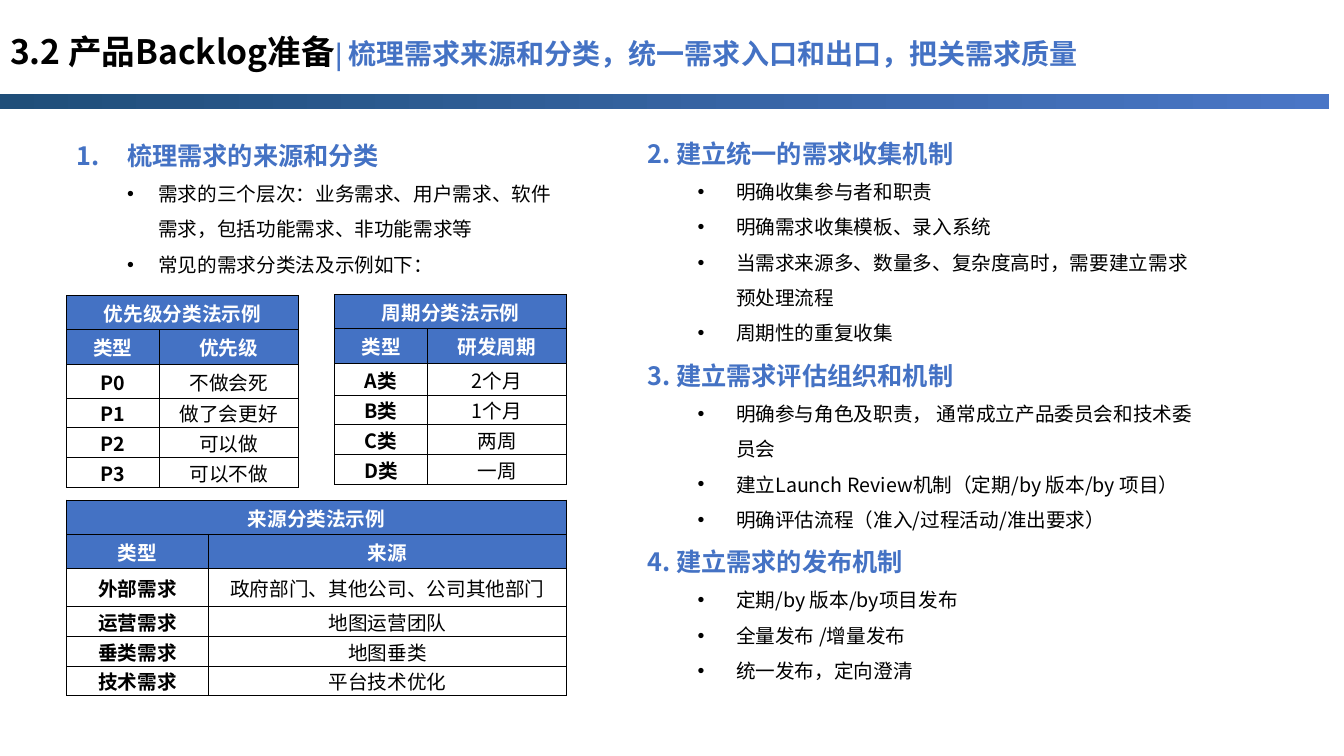
"""Build the product backlog preparation slide."""
from dataclasses import dataclass
from itertools import product

from lxml import etree
from pptx import Presentation
from pptx import util as u
from pptx.dml.color import RGBColor
from pptx.enum import shapes, text
from pptx.oxml import ns


@dataclass(frozen=True)
class Theme:
    font: str = "Noto Sans CJK SC"
    blue: str = "4472C4"
    black: str = "000000"
    white: str = "FFFFFF"
    bar_start: str = "1F4E79"
    bar_end: str = "4A76C6"
    title: int = 24
    subtitle: int = 20
    heading: int = 18
    body: int = 14


theme = Theme()
PX = 9144


def style_run(run, size, color, bold):
    run.font.size = u.Pt(size)
    run.font.bold = bold
    run.font.color.rgb = RGBColor.from_string(color)
    run.font.name = theme.font
    etree.SubElement(run.font._element, ns.qn("a:ea"), typeface=theme.font)


def set_bullet(paragraph, tag, margin, hanging, **attributes):
    properties = paragraph._p.get_or_add_pPr()
    properties.set("marL", str(margin * PX))
    properties.set("indent", str(-hanging * PX))
    if tag == "a:buChar":
        etree.SubElement(properties, ns.qn("a:buFont"), typeface="Arial")
    etree.SubElement(properties, ns.qn(tag), **attributes)


presentation = Presentation()
presentation.slide_width = 1333 * PX
presentation.slide_height = 750 * PX
slide = presentation.slides.add_slide(presentation.slide_layouts[3])
title, left_body, right_body = slide.placeholders

bar = slide.shapes.add_shape(shapes.MSO_SHAPE.RECTANGLE, 0, 93 * PX, 1318 * PX, 15 * PX)
bar.shadow.inherit = False
bar.line.fill.background()
bar.fill.gradient()
bar.fill.gradient_angle = 0
for stop, color in zip(bar.fill.gradient_stops, (theme.bar_start, theme.bar_end)):
    stop.color.rgb = RGBColor.from_string(color)

title.left, title.top, title.width, title.height = 0, 8 * PX, 1304 * PX, 90 * PX
title.text_frame.auto_size = text.MSO_AUTO_SIZE.NONE
title.text_frame.vertical_anchor = text.MSO_ANCHOR.MIDDLE
title_paragraph = title.text_frame.paragraphs[0]
title_paragraph.alignment = text.PP_ALIGN.LEFT
title_paragraph.line_spacing = 0.9
for words, size, color in (
    ("3.2 产品Backlog准备", theme.title, theme.black),
    ("| ", theme.heading, theme.blue),
    ("梳理需求来源和分类，统一需求入口和出口，把关需求质量", theme.subtitle, theme.blue),
):
    run = title_paragraph.add_run()
    run.text = words
    style_run(run, size, color, True)

left_sections = {
    "梳理需求的来源和分类": (
        "需求的三个层次：业务需求、用户需求、软件需求，包括功能需求、非功能需求等",
        "常见的需求分类法及示例如下：",
    ),
}
right_sections = {
    "2. 建立统一的需求收集机制": (
        "明确收集参与者和职责",
        "明确需求收集模板、录入系统",
        "当需求来源多、数量多、复杂度高时，需要建立需求预处理流程",
        "周期性的重复收集",
    ),
    "3. 建立需求评估组织和机制": (
        "明确参与角色及职责， 通常成立产品委员会和技术委员会",
        "建立Launch Review机制（定期/by 版本/by 项目）",
        "明确评估流程（准入/过程活动/准出要求）",
    ),
    "4. 建立需求的发布机制": (
        "定期/by 版本/by项目发布",
        "全量发布 /增量发布",
        "统一发布，定向澄清",
    ),
}

for body, box, sections, numbered, margin, hanging in (
    (left_body, (66, 119, 510, 157), left_sections, True, 81, 31),
    (right_body, (632, 117, 574, 566), right_sections, False, 88, 38),
):
    body.left, body.top, body.width, body.height = (length * PX for length in box)
    frame = body.text_frame
    frame.auto_size = text.MSO_AUTO_SIZE.NONE
    lines = []
    for heading, items in sections.items():
        lines += [(heading, 0), *((item, 1) for item in items)]
    frame.text = "\n".join(words for words, level in lines)
    for paragraph, (words, level) in zip(frame.paragraphs, lines):
        paragraph.level = level
        if level:
            set_bullet(paragraph, "a:buChar", margin, hanging, char="•")
        elif numbered:
            set_bullet(paragraph, "a:buAutoNum", 50, 50, type="arabicPeriod")
        else:
            set_bullet(paragraph, "a:buNone", 0, 0)
        paragraph.line_spacing = 1.5
        paragraph.space_before = u.Pt(0)
        size, color = (theme.body, theme.black) if level else (theme.heading, theme.blue)
        style_run(paragraph.runs[0], size, color, not level)

tables = (
    (332, 292, (92, 138), (34, 34, 32, 28, 28, 28), (
        ("周期分类法示例", ""), ("类型", "研发周期"), ("A类", "2个月"),
        ("B类", "1个月"), ("C类", "两周"), ("D类", "一周"),
    )),
    (66, 293, (92, 138), (34, 34, 34, 27, 27, 27), (
        ("优先级分类法示例", ""), ("类型", "优先级"), ("P0", "不做会死"),
        ("P1", "做了会更好"), ("P2", "可以做"), ("P3", "可以不做"),
    )),
    (66, 496, (141, 355), (34, 34, 38, 27, 27, 27), (
        ("来源分类法示例", ""), ("类型", "来源"),
        ("外部需求", "政府部门、其他公司、公司其他部门"),
        ("运营需求", "地图运营团队"), ("垂类需求", "地图垂类"), ("技术需求", "平台技术优化"),
    )),
)

for left, top, widths, heights, rows in tables:
    table = slide.shapes.add_table(
        len(rows), len(widths), left * PX, top * PX, sum(widths) * PX, sum(heights) * PX
    ).table
    table.first_row = table.horz_banding = False
    for column, width in zip(table.columns, widths):
        column.width = width * PX
    for row, height in zip(table.rows, heights):
        row.height = height * PX
    table.cell(0, 0).merge(table.cell(0, 1))
    for row_index, column_index in product(range(len(rows)), range(len(widths))):
        cell = table.cell(row_index, column_index)
        is_header = row_index < 2
        cell.margin_left = cell.margin_top = cell.margin_right = PX
        cell.margin_bottom = 0
        cell.vertical_anchor = text.MSO_ANCHOR.MIDDLE
        cell_properties = cell._tc.get_or_add_tcPr()
        for side in ("a:lnL", "a:lnR", "a:lnT", "a:lnB"):
            border = etree.SubElement(cell_properties, ns.qn(side), w=str(u.Pt(0.5)))
            border_fill = etree.SubElement(border, ns.qn("a:solidFill"))
            etree.SubElement(border_fill, ns.qn("a:srgbClr"), val=theme.black)
        if is_header:
            cell.fill.solid()
            cell.fill.fore_color.rgb = RGBColor.from_string(theme.blue)
        else:
            cell.fill.background()
        cell.text_frame.text = rows[row_index][column_index]
        paragraph = cell.text_frame.paragraphs[0]
        paragraph.alignment = text.PP_ALIGN.CENTER
        for run in paragraph.runs:
            color = theme.white if is_header else theme.black
            style_run(run, theme.body, color, is_header or column_index == 0)

presentation.save("out.pptx")
